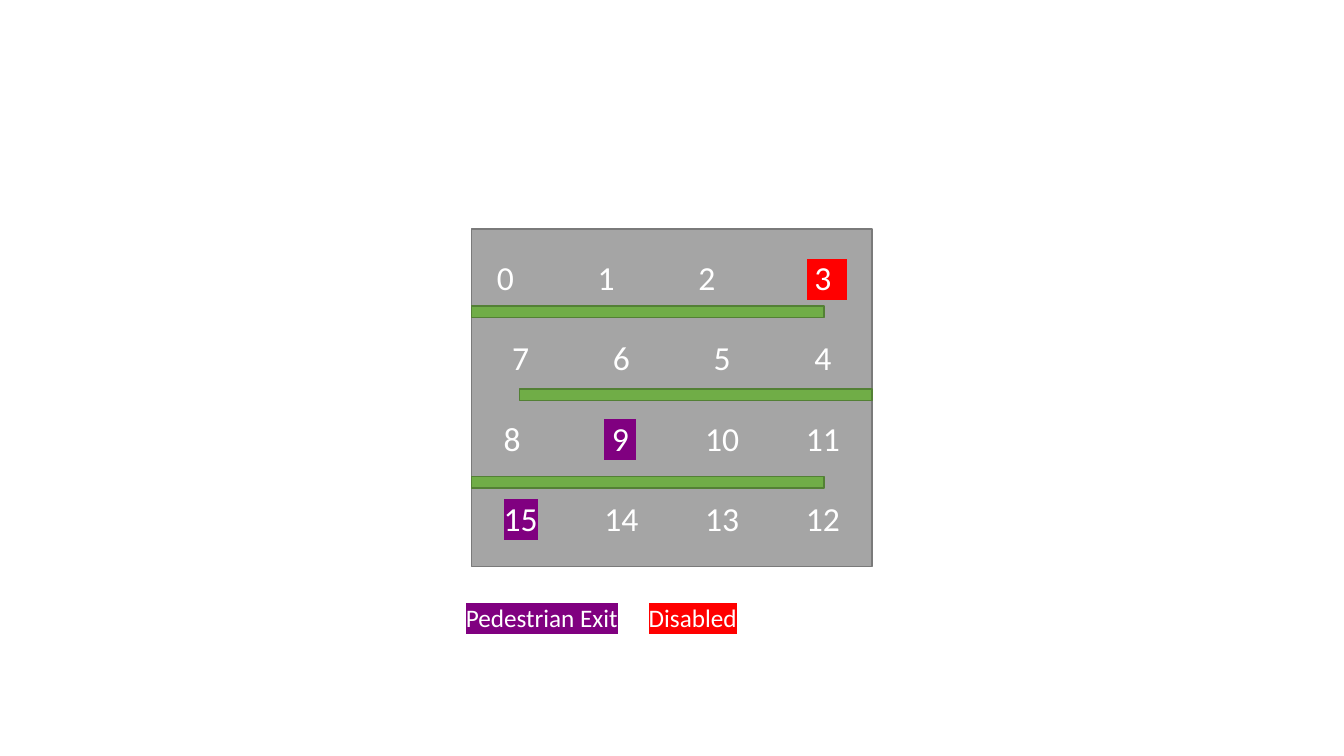
"""Build a slide with a car park plan and its legend."""
from lxml import etree
from pptx import Presentation
from pptx.dml.color import RGBColor
from pptx.enum.shapes import MSO_SHAPE
from pptx.enum.text import MSO_ANCHOR, MSO_AUTO_SIZE, PP_ALIGN
from pptx.oxml.ns import qn
from pptx.util import Cm, Pt

RECT = MSO_SHAPE.RECTANGLE
MIDDLE = MSO_ANCHOR.MIDDLE
CENTER = PP_ALIGN.CENTER
GROW = MSO_AUTO_SIZE.SHAPE_TO_FIT_TEXT

COLORS = {
    "lot": "A5A5A5", "edge": "7A7A7A", "hedge": "70AD47", "rim": "538035",
    "text": "FFFFFF", "exit": "800080", "disabled": "FF0000",
}
LEFT, TOP, WIDTH, HEIGHT = 11.88, 5.77, 10.1, 8.5
LONG, THICK = 8.89, 0.29
RIGHT = LEFT + WIDTH - LONG
HEDGES = [(LEFT, 7.71), (RIGHT, 9.8), (LEFT, 12.01)]
TAB = Cm(2.54)
BAYS = [
    [("0 \t1 \t2 \t ", None), (" 3  ", "disabled")],
    [("7\t6 \t5\t4", None)],
    [("8\t", None), (" 9 ", "exit"), ("\t10\t11", None)],
    [("15", "exit"), ("\t14\t13\t12", None)],
]
LEGEND = [
    ("Pedestrian Exit", "exit", 11.49, 4.37),
    ("Disabled", "disabled", 16.1, 2.77),
]


def color(name):
    return RGBColor.from_string(COLORS[name])


def write(para, text, size=24, mark=None):
    run = para.add_run()
    run.text = text
    font = run.font
    font.size = Pt(size)
    font.name = "Calibri"
    font.color.rgb = color("text")
    if mark:
        light = etree.Element(qn("a:highlight"))
        etree.SubElement(light, qn("a:srgbClr"), val=COLORS[mark])
        font.fill._xPr.find(qn("a:solidFill")).addnext(light)


def block(slide, left, top, width, height, fill, line):
    shape = slide.shapes.add_shape(
        RECT, Cm(left), Cm(top), Cm(width), Cm(height))
    shape.shadow.inherit = False
    shape.fill.solid()
    shape.fill.fore_color.rgb = color(fill)
    shape.line.color.rgb = color(line)
    shape.line.width = Pt(1)
    return shape


def plan(slide):
    lot = block(slide, LEFT, TOP, WIDTH, HEIGHT, "lot", "edge")
    frame = lot.text_frame
    frame.vertical_anchor = MIDDLE
    for row, runs in enumerate(BAYS):
        para = frame.add_paragraph() if row else frame.paragraphs[0]
        para.alignment = CENTER
        para.space_before = Pt(28.5 if row else 0)
        para._p.get_or_add_pPr().set("defTabSz", str(TAB))
        for text, mark in runs:
            write(para, text, mark=mark)


def label(slide, text, mark, left, width):
    box = slide.shapes.add_textbox(Cm(left), Cm(15.05), Cm(width), Cm(1.02))
    frame = box.text_frame
    frame.word_wrap = False
    frame.auto_size = GROW
    write(frame.paragraphs[0], text, size=18, mark=mark)


def main():
    deck = Presentation()
    deck.slide_width, deck.slide_height = Cm(33.87), Cm(19.05)
    slide = deck.slides.add_slide(deck.slide_layouts[6])
    plan(slide)
    for left, top in HEDGES:
        block(slide, left, top, LONG, THICK, "hedge", "rim")
    for entry in LEGEND:
        label(slide, *entry)
    deck.save("out.pptx")


main()
